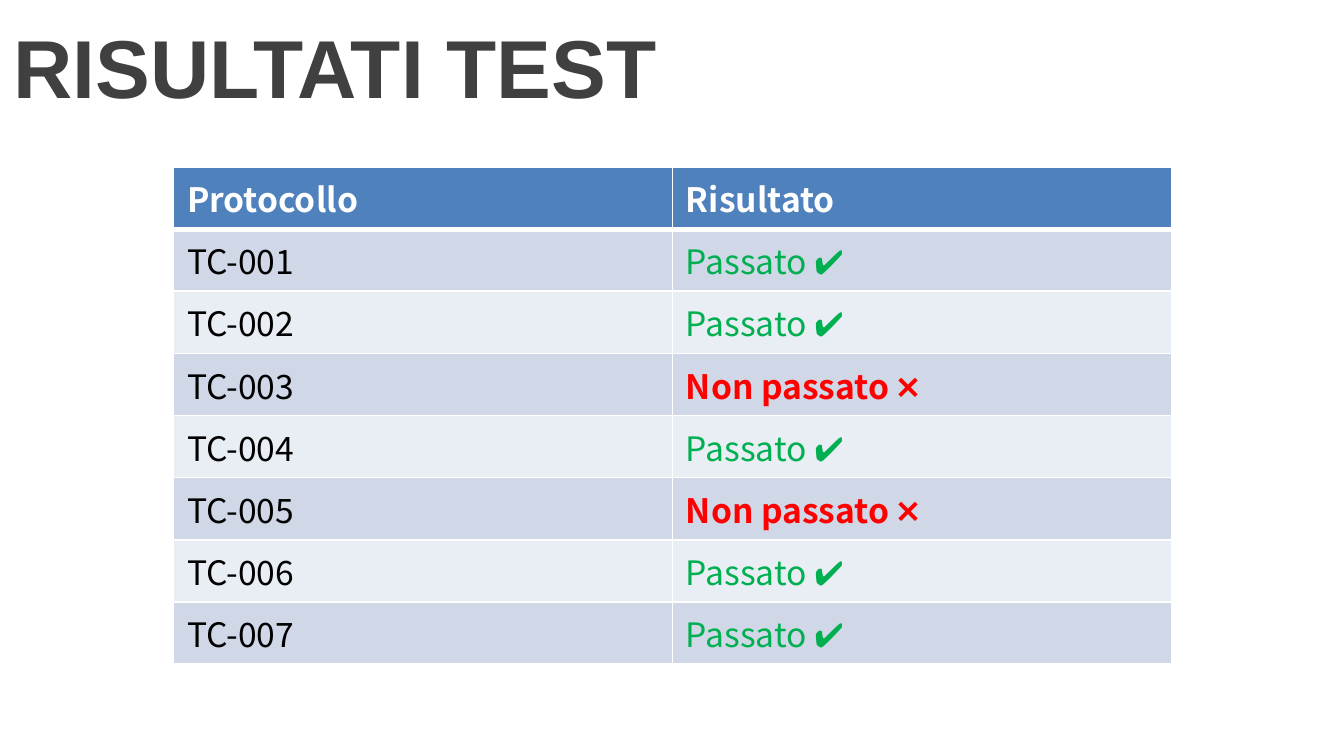
from lxml.etree import SubElement
from pptx import Presentation
from pptx.dml.color import RGBColor
from pptx.enum.text import MSO_ANCHOR, PP_ALIGN
from pptx.oxml.ns import qn
from pptx.util import Pt

WHITE = RGBColor(0xFF, 0xFF, 0xFF)
BLACK = RGBColor(0x00, 0x00, 0x00)
GRAY = RGBColor(0x40, 0x40, 0x40)
BLUE = RGBColor(0x4F, 0x81, 0xBD)
BANDS = RGBColor(0xD0, 0xD8, 0xE8), RGBColor(0xE9, 0xED, 0xF4)
GREEN = RGBColor(0x00, 0xB0, 0x50)
RED = RGBColor(0xFF, 0x00, 0x00)

TITLE_FONT = "Arial"
TABLE_FONT = "Noto Sans CJK KR"
HEADERS = "Protocollo", "Risultato"
TEST_COUNT = 7
FAILED = {3, 5}


def set_font(p, name, size, color, bold):
    """Format a whole paragraph."""
    p.font.name, p.font.size, p.font.bold = name, Pt(size), bold
    p.font.color.rgb = color


def set_borders(cell, bottom):
    """Draw white cell borders, with the given bottom width in points."""
    tcPr = cell._tc.get_or_add_tcPr()
    for side, width in (("L", 1), ("R", 1), ("T", 1), ("B", bottom)):
        ln = SubElement(tcPr, qn(f"a:ln{side}"), w=str(Pt(width)))
        fill = SubElement(ln, qn("a:solidFill"))
        SubElement(fill, qn("a:srgbClr"), val=str(WHITE))


def fill_cell(cell, text, color, fill, bold=False, bottom=1):
    """Write and format one table cell."""
    set_borders(cell, bottom)
    cell.fill.solid()
    cell.fill.fore_color.rgb = fill
    cell.text = text
    set_font(cell.text_frame.paragraphs[0], TABLE_FONT, 18, color, bold)


def add_title(slide, text, left, top, width, height):
    """Place the slide title in the given box."""
    title = slide.shapes.title
    title.left, title.top = Pt(left), Pt(top)
    title.width, title.height = Pt(width), Pt(height)
    tf = title.text_frame
    tf.text = text
    tf.vertical_anchor = MSO_ANCHOR.MIDDLE
    p = tf.paragraphs[0]
    p.alignment = PP_ALIGN.LEFT
    set_font(p, TITLE_FONT, 44, GRAY, True)


def add_results(slide, left, top, width, height):
    """Place the table of test results in the given box."""
    table = slide.shapes.add_table(
        TEST_COUNT + 1, len(HEADERS), Pt(left), Pt(top), Pt(width), Pt(height)
    ).table
    for col, header in enumerate(HEADERS):
        fill_cell(table.cell(0, col), header, WHITE, BLUE, bold=True, bottom=3)
    for row in range(1, TEST_COUNT + 1):
        band = BANDS[(row - 1) % 2]
        failed = row in FAILED
        result, color = ("Non passato ❌", RED) if failed else ("Passato ✔", GREEN)
        fill_cell(table.cell(row, 0), f"TC-{row:03}", BLACK, band)
        fill_cell(table.cell(row, 1), result, color, band, bold=failed)


def main():
    """Build and save the presentation."""
    prs = Presentation()
    prs.slide_width, prs.slide_height = Pt(720), Pt(405)
    slide = prs.slides.add_slide(prs.slide_layouts[5])
    add_title(slide, "RISULTATI TEST", 0, 0, 720, 70)
    add_results(slide, 93, 89.5, 534.6, 246)
    prs.save("out.pptx")


if __name__ == "__main__":
    main()
